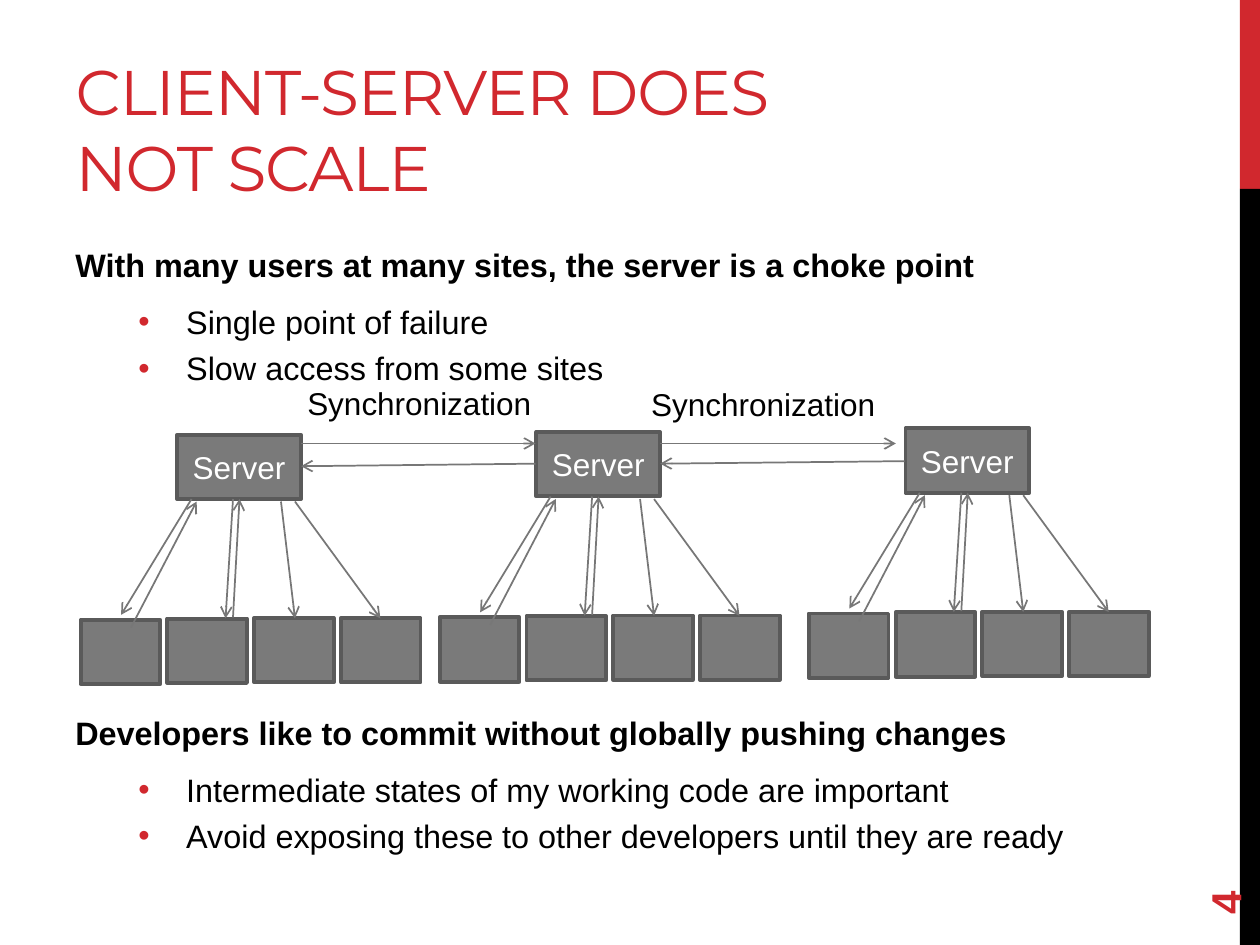
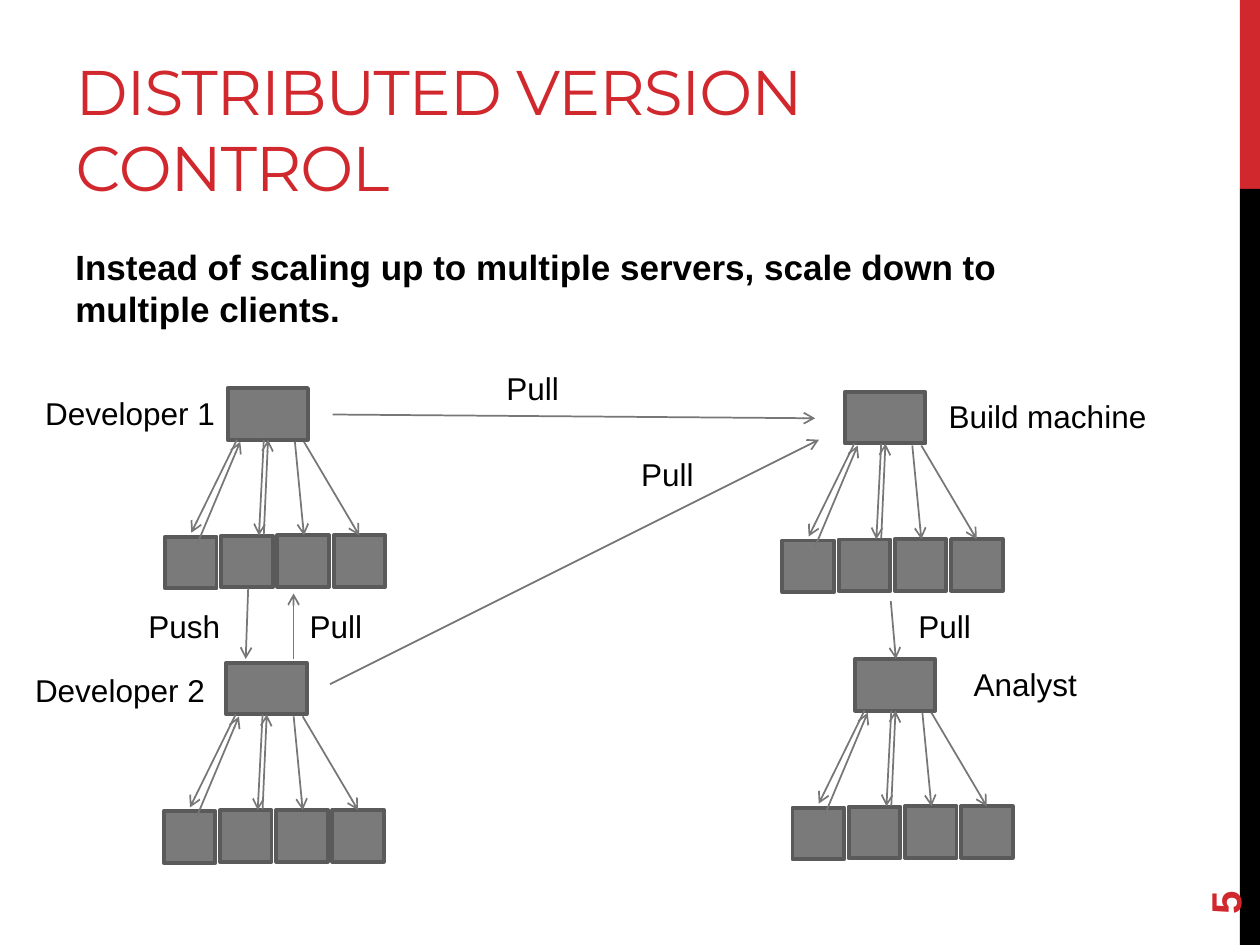
from lxml import etree
from pptx import Presentation, util as u
from pptx.dml.color import RGBColor
from pptx.enum import shapes, text
from pptx.oxml.ns import qn

RED = RGBColor(0xD1, 0x28, 0x2E)
BLACK = RGBColor(0, 0, 0)
WHITE = RGBColor(255, 255, 255)
GREY = RGBColor(0x7A, 0x7A, 0x7A)
EDGE = RGBColor(0x5A, 0x5A, 0x5A)
ARROW = RGBColor(0x77, 0x77, 0x77)
COLS, ROWS = 100, 75

SERVER = (28.4, 0, 36.4, 25.8)
CLIENT_PITCH, CLIENT_W, CLIENT_H = 25.5, 23.4, 25.8
CLIENT_TOPS = (74.2, 73.7, 73.5, 73.5)
CLUSTER_ARROWS = (
    (14.8, 77.3, 34.1, 26.8), (32.6, 25.8, 11.9, 72.2),
    (58.9, 26.8, 63, 73.6), (63, 26.8, 88.1, 73.6),
    (44.8, 25.8, 42.6, 73.6), (44.8, 73.2, 46.7, 25.8),
)


def write(p, content, size=18, color=BLACK, bold=False, font="Arial", align=text.PP_ALIGN.LEFT):
    """Add one formatted run to a paragraph and return it."""
    p.alignment = align
    r = p.add_run()
    r.text = content
    r.font.size, r.font.bold, r.font.name = u.Pt(size), bold, font
    r.font.color.rgb = color
    return r


class Deck:
    """Holds the style, the grid and the current slide."""

    def __init__(self):
        self.prs = Presentation()
        self.prs.slide_width, self.prs.slide_height = u.Inches(10), u.Inches(7.5)
        self.dx, self.dy = self.prs.slide_width / COLS, self.prs.slide_height / ROWS

    def at(self, x, y, *more):
        """Turn grid columns and rows into lengths."""
        return [round(v * (self.dy if i % 2 else self.dx)) for i, v in enumerate((x, y) + more)]

    def slide(self, title, number):
        """Start a slide with its side band, title and number."""
        self.s = self.prs.slides.add_slide(self.prs.slide_layouts[5])
        self.shapes = self.s.shapes
        self.box(98.4, 0, 1.6, 15, RED)
        self.box(98.4, 15, 1.6, 60, BLACK)
        sp = self.s.shapes.title
        sp.left, sp.top, sp.width, sp.height = self.at(5, 1.7, 63.3, 15)
        tf = sp.text_frame
        tf.auto_size, tf.word_wrap = text.MSO_AUTO_SIZE.NONE, True
        tf.vertical_anchor = text.MSO_ANCHOR.BOTTOM
        r = write(tf.paragraphs[0], title, 36, RED, font="Montserrat")
        r.font._element.set("spc", "-60")
        sp = self.label(str(number), 90, 64.4, 14.4, size=24, color=RED, bold=True)
        sp.rotation = 270
        sp.text_frame.vertical_anchor = text.MSO_ANCHOR.MIDDLE

    def box(self, x, y, w, h, fill=GREY, edge=None, caption=None):
        """Draw a rectangle, with an edge and a caption if given."""
        sp = self.shapes.add_shape(shapes.MSO_SHAPE.RECTANGLE, *self.at(x, y, w, h))
        sp.shadow.inherit = False
        sp.fill.solid()
        sp.fill.fore_color.rgb = fill
        if edge is None:
            sp.line.fill.background()
        else:
            sp.line.color.rgb, sp.line.width = edge, u.Pt(2.25)
        if caption:
            tf = sp.text_frame
            tf.vertical_anchor = text.MSO_ANCHOR.MIDDLE
            write(tf.paragraphs[0], caption, color=WHITE, align=text.PP_ALIGN.CENTER)

    def arrow(self, x1, y1, x2, y2):
        """Draw a thin line with an open arrowhead at its end."""
        cx = self.shapes.add_connector(shapes.MSO_CONNECTOR.STRAIGHT, *self.at(x1, y1, x2, y2))
        cx.line.color.rgb, cx.line.width = ARROW, u.Pt(1)
        etree.SubElement(cx.line._get_or_add_ln(), qn("a:tailEnd"), type="arrow")
        etree.SubElement(cx._element.spPr, qn("a:effectLst"))

    def label(self, content, x, y, w, **style):
        """Place a one-line text box."""
        sp = self.shapes.add_textbox(*self.at(x, y, w, 4))
        sp.text_frame.word_wrap = True
        write(sp.text_frame.paragraphs[0], content, **style)
        return sp

    def body(self, sections, size, gap=0):
        """Write bold headings with bullets, a gap in points between sections."""
        tf = self.shapes.add_textbox(*self.at(5, 19, 83.3, 47.8)).text_frame
        tf.word_wrap = True
        p = tf.paragraphs[0]
        for i, (heading, bullets) in enumerate(sections):
            if i:
                p = tf.add_paragraph()
            p.space_before, p.space_after = u.Pt(gap if i else 4), u.Pt(6)
            write(p, heading, size, bold=True)
            for bullet in bullets:
                p = tf.add_paragraph()
                p.space_before = u.Pt(4.2)
                write(p, bullet, size)
                self.bullet(p)

    def bullet(self, p):
        """Give a paragraph a red bullet and a hanging indent."""
        pPr = p._p.get_or_add_pPr()
        pPr.set("marL", str(u.Inches(0.88)))
        pPr.set("indent", str(u.Inches(-0.38)))
        color = etree.SubElement(pPr, qn("a:buClr"))
        etree.SubElement(color, qn("a:srgbClr"), val=str(RED))
        etree.SubElement(pPr, qn("a:buFont"), typeface="Arial")
        etree.SubElement(pPr, qn("a:buChar"), char="•")

    def cluster(self, x, y, w, h, caption=None):
        """Draw a grouped server with four clients inside the given frame."""
        def inside(left, top):
            return x + left * w / 100, y + top * h / 100

        def part(left, top, width, height, caption=None):
            self.box(*inside(left, top), width * w / 100, height * h / 100, GREY, EDGE, caption)

        self.shapes = self.s.shapes.add_group_shape().shapes
        part(*SERVER, caption)
        for i, top in enumerate(CLIENT_TOPS):
            part(i * CLIENT_PITCH, top, CLIENT_W, CLIENT_H)
        for x1, y1, x2, y2 in CLUSTER_ARROWS:
            self.arrow(*inside(x1, y1), *inside(x2, y2))
        self.shapes = self.s.shapes


deck = Deck()

deck.slide("CLIENT-SERVER DOES NOT SCALE", 4)
deck.body([
    ("With many users at many sites, the server is a choke point",
     ["Single point of failure", "Slow access from some sites"]),
    ("Developers like to commit without globally pushing changes",
     ["Intermediate states of my working code are important",
      "Avoid exposing these to other developers until they are ready"]),
], 18.5, gap=186)
for x, y in ((6.4, 34.5), (34.9, 34.3), (64.2, 34)):
    deck.cluster(x, y, 27, 19.8, "Server")
for ends in ((23.9, 35.2, 42.5, 35.2), (42.5, 36.8, 23.9, 37),
             (52.4, 35.2, 71.1, 35.2), (71.8, 36.6, 52.4, 36.8)):
    deck.arrow(*ends)
for x, y in ((23.4, 30), (50.7, 30.1)):
    deck.label("Synchronization", x, y, 20.9)

deck.slide("DISTRIBUTED VERSION CONTROL", 5)
deck.body([("Instead of scaling up to multiple servers, scale down to multiple clients.", [])], 20)
for x, y in ((13, 52.6), (13.1, 30.8), (62.1, 31.1), (62.9, 52.3)):
    deck.cluster(x, y, 17.5, 15.9)
for ends in ((26.4, 32.9, 64.7, 33.2), (26.2, 54.3, 65, 34.9), (19.7, 46.7, 19.5, 52.3),
             (23.3, 52.3, 23.3, 47.1), (70.7, 47.7, 71.1, 52.3)):
    deck.arrow(*ends)
for name, x, y, w in (("Developer 1", 2.6, 30.8, 15.6), ("Developer 2", 1.8, 52.8, 15.6),
                      ("Build machine", 74.3, 31, 19), ("Analyst", 76.3, 52.3, 19),
                      ("Pull", 39.2, 28.8, 8.3), ("Pull", 49.9, 35.6, 8.3),
                      ("Pull", 23.6, 47.7, 8.3), ("Push", 10.8, 47.7, 8.3),
                      ("Pull", 71.9, 47.7, 8.3)):
    deck.label(name, x, y, w)

deck.prs.save("out.pptx")
